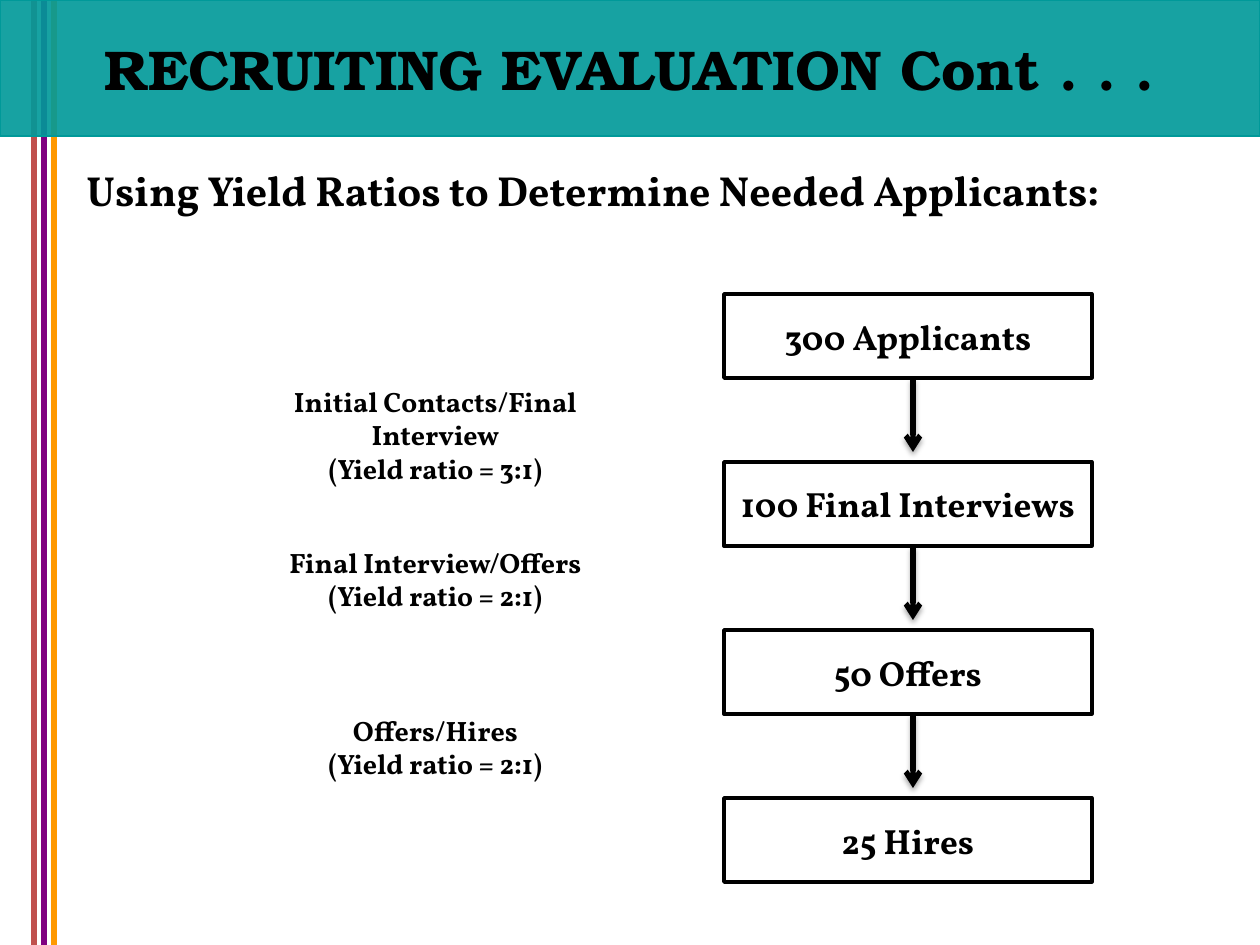
from lxml import etree
from pptx import Presentation
from pptx.dml.color import RGBColor
from pptx.enum.shapes import MSO_CONNECTOR, MSO_SHAPE
from pptx.enum.text import MSO_ANCHOR, PP_ALIGN
from pptx.oxml.ns import qn
from pptx.util import Emu, Pt

STRAIGHT, RECT = MSO_CONNECTOR.STRAIGHT, MSO_SHAPE.RECTANGLE
TOP, MIDDLE = MSO_ANCHOR.TOP, MSO_ANCHOR.MIDDLE
LEFT, CENTER = PP_ALIGN.LEFT, PP_ALIGN.CENTER

BLACK = RGBColor(0, 0, 0)
WHITE = RGBColor(255, 255, 255)
TEAL = RGBColor(0, 153, 153)
RED = RGBColor(192, 80, 77)
ORANGE = RGBColor(255, 153, 0)
PURPLE = RGBColor(128, 0, 128)

TITLE = "RECRUITING EVALUATION Cont . . ."
SUBTITLE = "Using Yield Ratios to Determine Needed Applicants:"
STAGES = ["300 Applicants", "100 Final Interviews", "50 Offers", "25 Hires"]
YIELDS = [
    (378, "Initial Contacts/Final Interview", "(Yield ratio = 3:1)"),
    (539, "Final Interview/Offers", "(Yield ratio = 2:1)"),
    (707, "Offers/Hires", "(Yield ratio = 2:1)"),
]
STRIPES = [(34, 0, RED), (54, 0, ORANGE), (44, -4, PURPLE)]

TITLE_FONT = {"name": "TeX Gyre Bonum", "size": Pt(32), "bold": True}
SUBTITLE_FONT = {"name": "Vollkorn", "size": Pt(24), "bold": True}
STAGE_FONT = {"name": "Vollkorn", "size": Pt(20), "bold": True}
YIELD_FONT = {"name": "Vollkorn", "size": Pt(16), "bold": True}

SLIDE_W, SLIDE_H = 1260, 945
STAGE_X, STAGE_Y, STAGE_W, STAGE_H, STAGE_STEP = 724, 294, 368, 84, 168
ARROW_X, ARROW_LENGTH = 913, 74


def px(*lengths):
    return [Emu(round(length * 914400 / 126)) for length in lengths]


def write(shape, lines, font, align=CENTER, anchor=MIDDLE, wrap=True):
    frame = shape.text_frame
    frame.word_wrap = wrap
    frame.vertical_anchor = anchor
    frame.text = "\n".join(lines)
    for paragraph in frame.paragraphs:
        paragraph.alignment = align
        paragraph.font.color.rgb = BLACK
        for attribute, value in font.items():
            setattr(paragraph.font, attribute, value)


def add_box(shapes, bounds, fill, line, weight):
    box = shapes.add_shape(RECT, *px(*bounds))
    box.shadow.inherit = False
    box.fill.solid()
    box.fill.fore_color.rgb = fill
    box.line.color.rgb = line
    box.line.width = Pt(weight)
    return box


def add_line(shapes, x, top, bottom, color):
    line = shapes.add_connector(STRAIGHT, *px(x, top, x, bottom))
    line.line.color.rgb = color
    line.line.width = Pt(3)
    effects = etree.SubElement(line._element.spPr, qn("a:effectLst"))
    return line, effects


def add_arrow(shapes, x, top, bottom):
    arrow, effects = add_line(shapes, x, top, bottom, BLACK)
    etree.SubElement(arrow.line._get_or_add_ln(), qn("a:tailEnd"), type="arrow")
    shadow = etree.SubElement(
        effects, qn("a:outerShdw"), blurRad=str(Pt(3.1)), dist=str(Pt(1.8)),
        dir="5400000", rotWithShape="0")
    shade = etree.SubElement(shadow, qn("a:srgbClr"), val=str(BLACK))
    etree.SubElement(shade, qn("a:alpha"), val="35000")


def main():
    deck = Presentation()
    deck.slide_width, deck.slide_height = px(SLIDE_W, SLIDE_H)
    shapes = deck.slides.add_slide(deck.slide_layouts[6]).shapes

    for x, top, color in STRIPES:
        add_line(shapes, x, top, SLIDE_H, color)

    banner = add_box(shapes, (0, 0, SLIDE_W, 136), TEAL, TEAL, 0.75)
    teal = banner._element.spPr.find(qn("a:solidFill")).find(qn("a:srgbClr"))
    etree.SubElement(teal, qn("a:alpha"), val="91000")
    write(banner, [TITLE], TITLE_FONT, wrap=False)

    for index, stage in enumerate(STAGES):
        top = STAGE_Y + index * STAGE_STEP
        box = add_box(shapes, (STAGE_X, top, STAGE_W, STAGE_H), WHITE, BLACK, 2)
        write(box, [stage], STAGE_FONT)

    for top, *lines in YIELDS:
        label = shapes.add_textbox(*px(220, top, 431, 81))
        write(label, lines, YIELD_FONT, anchor=TOP)

    for index in range(len(STAGES) - 1):
        top = STAGE_Y + STAGE_H + index * STAGE_STEP
        add_arrow(shapes, ARROW_X, top, top + ARROW_LENGTH)

    subtitle = shapes.add_textbox(*px(74, 158, 1050, 63))
    write(subtitle, [SUBTITLE], SUBTITLE_FONT, align=LEFT, anchor=TOP)

    deck.save("out.pptx")


if __name__ == "__main__":
    main()
